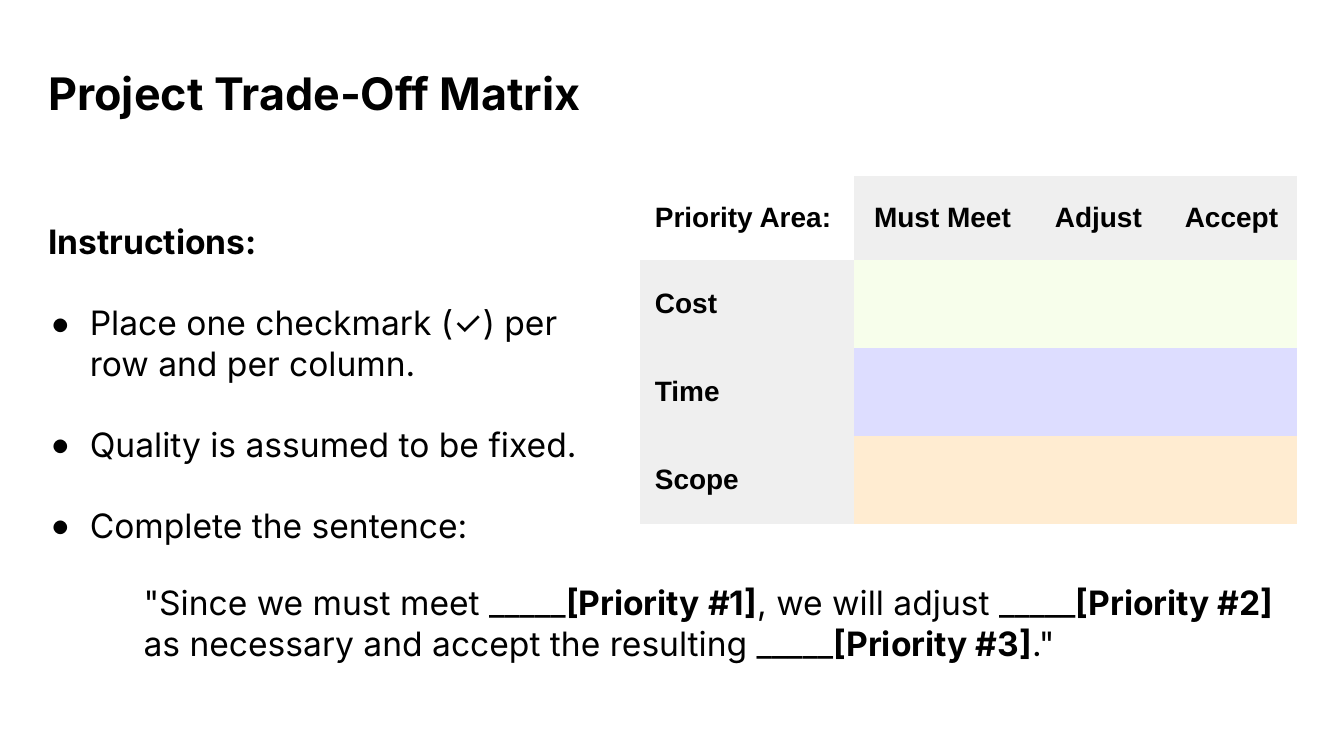
from dataclasses import dataclass

from lxml import etree
from pptx import Presentation
from pptx.dml.color import RGBColor
from pptx.enum.text import MSO_ANCHOR, MSO_AUTO_SIZE, PP_ALIGN
from pptx.oxml.ns import qn
from pptx.util import Emu, Inches, Pt

LEFT, CENTER = PP_ALIGN.LEFT, PP_ALIGN.CENTER
TOP, MIDDLE = MSO_ANCHOR.TOP, MSO_ANCHOR.MIDDLE
NO_AUTOFIT = MSO_AUTO_SIZE.NONE

SLIDE_W = Inches(10)
SLIDE_H = Emu(SLIDE_W * 9 // 16)
TITLE_ONLY = 5
PLAIN_TABLE_STYLE = "{2D5ABB26-0587-4C30-8999-92F81FD0307C}"
BODY_FONT, TABLE_FONT = "Inter", "Arial"
BODY_SIZE = 18
COLORS = {
    "text": "000000",
    "header": "EFEFEF",
    "cost": "F7FEEB",
    "time": "DDDDFF",
    "scope": "FFECD1",
}


@dataclass(frozen=True)
class Box:
    """Left, top, width and height in percent of the slide."""
    left: float
    top: float
    width: float
    height: float

    def emu(self) -> tuple[Emu, Emu, Emu, Emu]:
        return (across(self.left), down(self.top),
                across(self.width), down(self.height))


@dataclass(frozen=True)
class Span:
    text: str
    bold: bool = False


@dataclass(frozen=True)
class Priority:
    label: str
    color: str


def across(percent: float) -> Emu:
    return Emu(round(SLIDE_W * percent / 100))


def down(percent: float) -> Emu:
    return Emu(round(SLIDE_H * percent / 100))


def add_span(paragraph, span: Span, font: str = BODY_FONT,
             size: float = BODY_SIZE) -> None:
    run = paragraph.add_run()
    run.text = span.text
    run.font.name = font
    run.font.size = Pt(size)
    run.font.bold = span.bold
    run.font.color.rgb = RGBColor.from_string(COLORS["text"])


def prepare_frame(frame) -> None:
    frame.word_wrap = True
    frame.auto_size = NO_AUTOFIT
    frame.vertical_anchor = TOP


def add_frame(slide, box: Box):
    frame = slide.shapes.add_textbox(*box.emu()).text_frame
    prepare_frame(frame)
    return frame


def add_bullet(paragraph) -> None:
    properties = paragraph._p.get_or_add_pPr()
    properties.set("marL", str(Inches(0.31)))
    properties.set("indent", str(-Inches(0.31)))
    etree.SubElement(properties, qn("a:buSzPct"), val="130000")
    etree.SubElement(properties, qn("a:buFont"), typeface=BODY_FONT)
    etree.SubElement(properties, qn("a:buChar"), char="•")


def fill_cell(cell, color: str, label: str = "", align=LEFT) -> None:
    if color:
        cell.fill.solid()
        cell.fill.fore_color.rgb = RGBColor.from_string(COLORS[color])
    else:
        cell.fill.background()
    cell.vertical_anchor = MIDDLE
    cell.margin_left = cell.margin_right = Inches(0.11)
    if label:
        paragraph = cell.text_frame.paragraphs[0]
        paragraph.alignment = align
        add_span(paragraph, Span(label, True), TABLE_FONT, 15)


def add_matrix(slide, box: Box, columns: list[float], rows: list[float],
               headings: list[str], priorities: list[Priority]) -> None:
    graphic = slide.shapes.add_table(len(rows), len(columns), *box.emu())
    matrix = graphic.table
    matrix.first_row = matrix.horz_banding = False
    for style in graphic._element.iter(qn("a:tableStyleId")):
        style.text = PLAIN_TABLE_STYLE
    for column, width in zip(matrix.columns, columns):
        column.width = across(width)
    for row, height in zip(matrix.rows, rows):
        row.height = down(height)

    # Heading row, with an unfilled corner
    fill_cell(matrix.cell(0, 0), "", headings[0])
    for col, heading in enumerate(headings[1:], 1):
        fill_cell(matrix.cell(0, col), "header", heading, CENTER)

    # One coloured row per priority area
    for row, priority in enumerate(priorities, 1):
        fill_cell(matrix.cell(row, 0), "header", priority.label)
        for col in range(1, len(columns)):
            fill_cell(matrix.cell(row, col), priority.color)


def main() -> None:
    deck = Presentation()
    deck.slide_width, deck.slide_height = SLIDE_W, SLIDE_H
    slide = deck.slides.add_slide(deck.slide_layouts[TITLE_ONLY])

    # Title
    title = slide.shapes.title
    title.left, title.top, title.width, title.height = Box(
        2.6, 7.83, 78.5, 8.9).emu()
    prepare_frame(title.text_frame)
    heading = title.text_frame.paragraphs[0]
    heading.alignment = LEFT
    add_span(heading, Span("Project Trade-Off Matrix", True), size=24)

    # Instructions
    instructions = add_frame(slide, Box(2.6, 28.4, 43.5, 50.3))
    add_span(instructions.paragraphs[0], Span("Instructions:", True))
    for step in ("Place one checkmark (✓) per row and per column.",
                 "Quality is assumed to be fixed.",
                 "Complete the sentence:"):
        paragraph = instructions.add_paragraph()
        paragraph.space_before = Pt(21.8)
        add_bullet(paragraph)
        add_span(paragraph, Span(step))

    # Trade-off matrix
    columns = [15.9, 13.2, 10, 9.8]
    rows = [11.15] + [11.64] * 3
    add_matrix(
        slide, Box(47.63, 23.26, sum(columns), sum(rows)), columns, rows,
        ["Priority Area:", "Must Meet", "Adjust", "Accept"],
        [Priority("Cost", "cost"), Priority("Time", "time"),
         Priority("Scope", "scope")])

    # Sentence to complete
    sentence = add_frame(slide, Box(9.7, 76.16, 87.7, 12.63)).paragraphs[0]
    for number, lead in enumerate((
            '"Since we must meet _____',
            ", we will adjust _____",
            " as necessary and accept the resulting _____"), 1):
        add_span(sentence, Span(lead))
        add_span(sentence, Span(f"[Priority #{number}]", True))
    add_span(sentence, Span('."'))

    deck.save("out.pptx")


if __name__ == "__main__":
    main()
